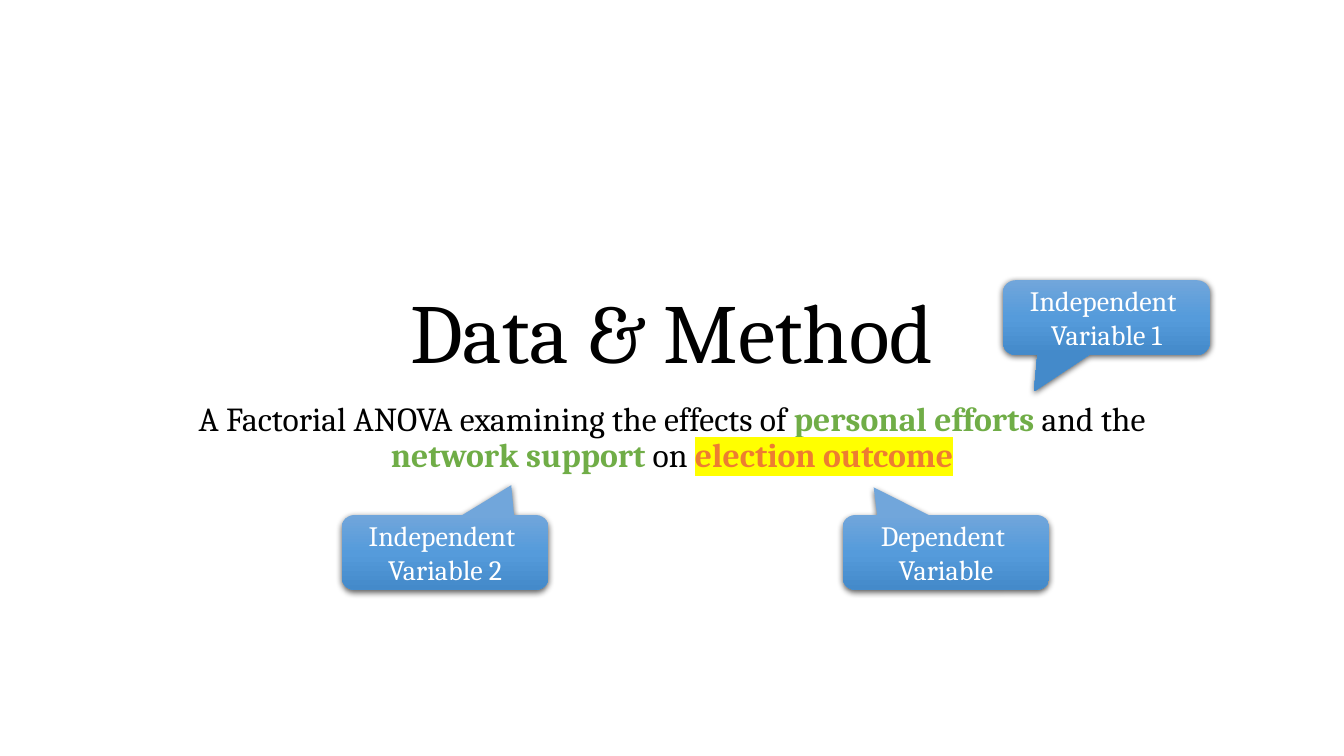
from lxml.etree import SubElement
from pptx import Presentation
from pptx.dml.color import RGBColor
from pptx.enum.shapes import MSO_SHAPE as Shape
from pptx.enum.text import MSO_ANCHOR as Anchor, PP_ALIGN as Align
from pptx.oxml.ns import qn
from pptx.util import Inches, Pt

BLACK, WHITE, GREEN, ORANGE, YELLOW = "000000", "FFFFFF", "70AD47", "ED7D31", "FFFF00"
CALLOUT_STOPS = [(0, "71A6DB"), (50, "559BDB"), (100, "448ACA")]
CALLOUT_SIZE = (15.38, 9.87)


def rgb(value):
    return RGBColor.from_string(value)


def add_xml_color(parent, value):
    return SubElement(parent, qn("a:srgbClr"), val=value)


class SlideBuilder:
    """Places elements by percentages of the slide's width and height."""

    font = "Cambria"

    def __init__(self, presentation):
        self.presentation = presentation
        self.slide = presentation.slides.add_slide(presentation.slide_layouts[6])

    def box(self, left, top, width, height):
        across, down = self.presentation.slide_width, self.presentation.slide_height
        return [int(share * full / 100) for share, full in
                ((left, across), (top, down), (width, across), (height, down))]

    def add_run(self, paragraph, text, size, color=BLACK, bold=False, highlight=None):
        run = paragraph.add_run()
        run.text = text
        run.font.name, run.font.size, run.font.bold = self.font, Pt(size), bold
        run.font.color.rgb = rgb(color)
        if highlight:
            properties = run._r.get_or_add_rPr()
            marker = SubElement(properties, qn("a:highlight"))
            add_xml_color(marker, highlight)
            properties.find(qn("a:solidFill")).addnext(marker)

    def text(self, place, size, runs, anchor=Anchor.TOP, space_before=0):
        frame = self.slide.shapes.add_textbox(*self.box(*place)).text_frame
        frame.word_wrap, frame.vertical_anchor = True, anchor
        paragraph = frame.paragraphs[0]
        paragraph.alignment, paragraph.line_spacing = Align.CENTER, 0.9
        paragraph.space_before = Pt(space_before)
        for words, *style in runs:
            self.add_run(paragraph, words, size, *style)

    def callout(self, left, top, pointer, lines):
        """Adds a shaded speech bubble whose tip lies at pointer, relative to its centre."""
        shape = self.slide.shapes.add_shape(
            Shape.ROUNDED_RECTANGULAR_CALLOUT, *self.box(left, top, *CALLOUT_SIZE))
        shape.adjustments[0], shape.adjustments[1] = pointer
        shape.line.fill.background()
        self.shade(shape)
        self.cast_shadow(shape)
        frame = shape.text_frame
        frame.word_wrap, frame.vertical_anchor = True, Anchor.MIDDLE
        for index, line in enumerate(lines):
            paragraph = frame.add_paragraph() if index else frame.paragraphs[0]
            paragraph.alignment = Align.CENTER
            self.add_run(paragraph, line, 20, WHITE)

    def shade(self, shape):
        shape.fill.gradient()
        shape.fill.gradient_angle = 270
        stops = shape.element.spPr.find(qn("a:gradFill")).find(qn("a:gsLst"))
        for stop in list(stops):
            stops.remove(stop)
        for percent, color in CALLOUT_STOPS:
            add_xml_color(SubElement(stops, qn("a:gs"), pos=str(percent * 1000)), color)

    def cast_shadow(self, shape):
        shape.shadow.inherit = False
        effects = shape.element.spPr.find(qn("a:effectLst"))
        shadow = SubElement(effects, qn("a:outerShdw"), blurRad=str(Pt(4.5)),
                            dist=str(Pt(1.5)), dir="5400000", algn="ctr", rotWithShape="0")
        SubElement(add_xml_color(shadow, BLACK), qn("a:alpha"), val="63000")


def main():
    presentation = Presentation()
    presentation.slide_width, presentation.slide_height = Inches(13.33), Inches(7.5)
    builder = SlideBuilder(presentation)

    builder.text((12.5, 16.4, 75, 34.8), 60, [("Data & Method",)], Anchor.BOTTOM)
    builder.text((12.5, 52.53, 75, 24.13), 24, [
        ("A Factorial ANOVA examining the effects of ",),
        ("personal efforts ", GREEN, True),
        ("and the ",),
        ("network support ", GREEN, True),
        ("on ",),
        ("election outcome", ORANGE, True, YELLOW),
    ], space_before=10)

    lower_row = 68.13
    builder.callout(74.63, 37.07, (-0.35, 0.99), ["Independent ", "Variable 1"])
    builder.callout(25.43, lower_row, (0.32, -0.9), ["Independent ", "Variable 2"])
    builder.callout(62.7, lower_row, (-0.35, -0.87), ["Dependent ", "Variable"])
    presentation.save("out.pptx")


if __name__ == "__main__":
    main()
